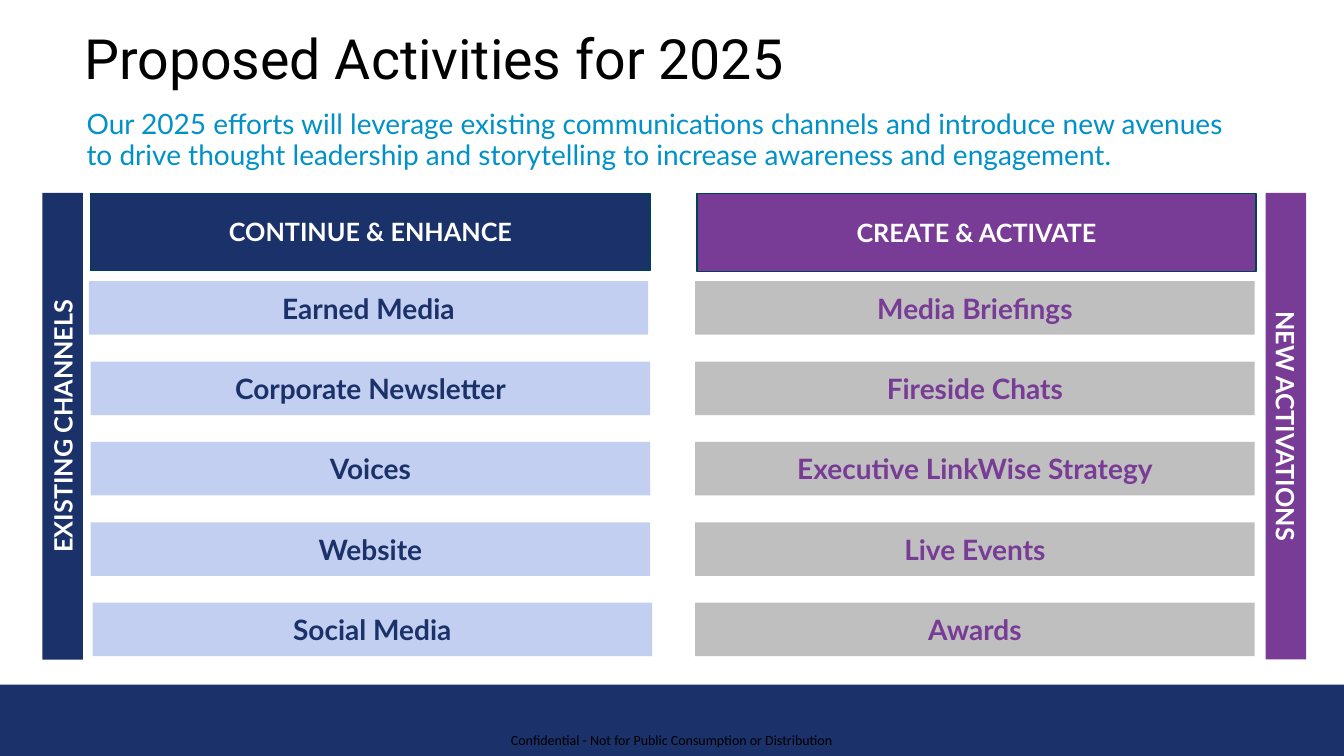
"""Build the slide of proposed activities for 2025."""
from pptx import Presentation
from pptx.dml.color import RGBColor
from pptx.enum.shapes import MSO_SHAPE
from pptx.enum.text import MSO_ANCHOR, PP_ALIGN
from pptx.util import Pt

RECT = MSO_SHAPE.RECTANGLE
MIDDLE, TOP = MSO_ANCHOR.MIDDLE, MSO_ANCHOR.TOP
CENTER, LEFT = PP_ALIGN.CENTER, PP_ALIGN.LEFT

TITLE = "Proposed Activities for 2025"
INTRO = ("Our 2025 efforts will leverage existing communications channels and "
         "introduce new avenues to drive thought leadership and storytelling "
         "to increase awareness and engagement.")
FOOTER = "Confidential - Not for Public Consumption or Distribution"
GROUPS = [
    {"head": "CONTINUE & ENHANCE", "side": "EXISTING CHANNELS",
     "dark": "navy", "pale": "sky", "turn": 270, "mid": 44.75,
     "box": (64.8, 138.2, 399.6, 54.9), "lefts": (63.4, 64.8, 64.8, 64.8, 66.2),
     "items": ("Earned Media", "Corporate Newsletter", "Voices", "Website",
               "Social Media")},
    {"head": "CREATE & ACTIVATE", "side": "NEW ACTIVATIONS",
     "dark": "plum", "pale": "gray", "turn": 90, "mid": 918.5,
     "box": (498, 138.2, 399.1, 55.9), "lefts": (496.6,) * 5,
     "items": ("Media Briefings", "Fireside Chats",
               "Executive LinkWise Strategy", "Live Events", "Awards")},
]
THEME = {
    "navy": "1B3169", "plum": "783C96", "sky": "C3CFF0", "gray": "BFBFBF",
    "blue": "0091C8", "edge": "004058", "white": "FFFFFF", "black": "000000",
    "title": 39.6, "body": 20, "head": 18, "foot": 10,
    "main": "Lato", "large": "Roboto", "small": "Calibri",
}
WIDE, HIGH = 960, 540
BAND = 489
ROW_TOP, ROW_STEP, ROW_WIDE, ROW_HIGH = 200.9, 57.4, 399.6, 38.2
SIDE_LONG, SIDE_THICK, SIDE_MID = 333.4, 29, 304.4


def color(name):
    return RGBColor.from_string(THEME[name])


def write(shape, text, size, ink, face="main", bold=False, align=LEFT,
          anchor=TOP, pad=(7.2, 3.6), space=None):
    frame = shape.text_frame
    form = {"word_wrap": True, "vertical_anchor": anchor,
            "margin_left": Pt(pad[0]), "margin_right": Pt(pad[0]),
            "margin_top": Pt(pad[1]), "margin_bottom": Pt(pad[1])}
    for key, value in form.items():
        setattr(frame, key, value)
    para = frame.paragraphs[0]
    para.alignment = align
    if space:
        para.line_spacing = space
    run = para.add_run()
    run.text = text
    form = {"size": Pt(THEME[size]), "name": THEME[face], "bold": bold}
    for key, value in form.items():
        setattr(run.font, key, value)
    run.font.color.rgb = color(ink)


def add_text(slide, box, text, size, ink, **form):
    write(slide.shapes.add_textbox(*map(Pt, box)), text, size, ink, **form)


def add_rect(slide, box, fill, edge=None):
    shape = slide.shapes.add_shape(RECT, *map(Pt, box))
    shape.shadow.inherit = False
    shape.fill.solid()
    shape.fill.fore_color.rgb = color(fill)
    if edge:
        shape.line.color.rgb = color(edge)
        shape.line.width = Pt(1)
    else:
        shape.line.fill.background()
    return shape


def add_group(slide, group):
    label = {"bold": True, "align": CENTER, "anchor": MIDDLE}
    head = add_rect(slide, group["box"], group["dark"], "edge")
    write(head, group["head"], "head", "white", **label)
    for i, (left, item) in enumerate(zip(group["lefts"], group["items"])):
        box = (left, ROW_TOP + i * ROW_STEP, ROW_WIDE, ROW_HIGH)
        row = add_rect(slide, box, group["pale"])
        write(row, item, "body", group["dark"], **label)
    box = (group["mid"] - SIDE_LONG / 2, SIDE_MID - SIDE_THICK / 2,
           SIDE_LONG, SIDE_THICK)
    side = add_rect(slide, box, group["dark"])
    side.rotation = group["turn"]
    write(side, group["side"], "head", "white", **label)


def main():
    deck = Presentation()
    deck.slide_width, deck.slide_height = Pt(WIDE), Pt(HIGH)
    slide = deck.slides.add_slide(deck.slide_layouts[6])
    add_rect(slide, (0, BAND, WIDE, HIGH - BAND), "navy")
    add_text(slide, (365, 522.7, 240, 12.2), FOOTER, "foot", "black",
             face="small", pad=(0, 0))
    add_text(slide, (54.7, 75.6, 848.9, 54.7), INTRO, "body", "blue", space=0.9)
    add_text(slide, (53.3, 28.8, 841, 30.2), TITLE, "title", "black",
             face="large", anchor=MIDDLE, space=0.9)
    for group in GROUPS:
        add_group(slide, group)
    deck.save("out.pptx")


if __name__ == "__main__":
    main()
